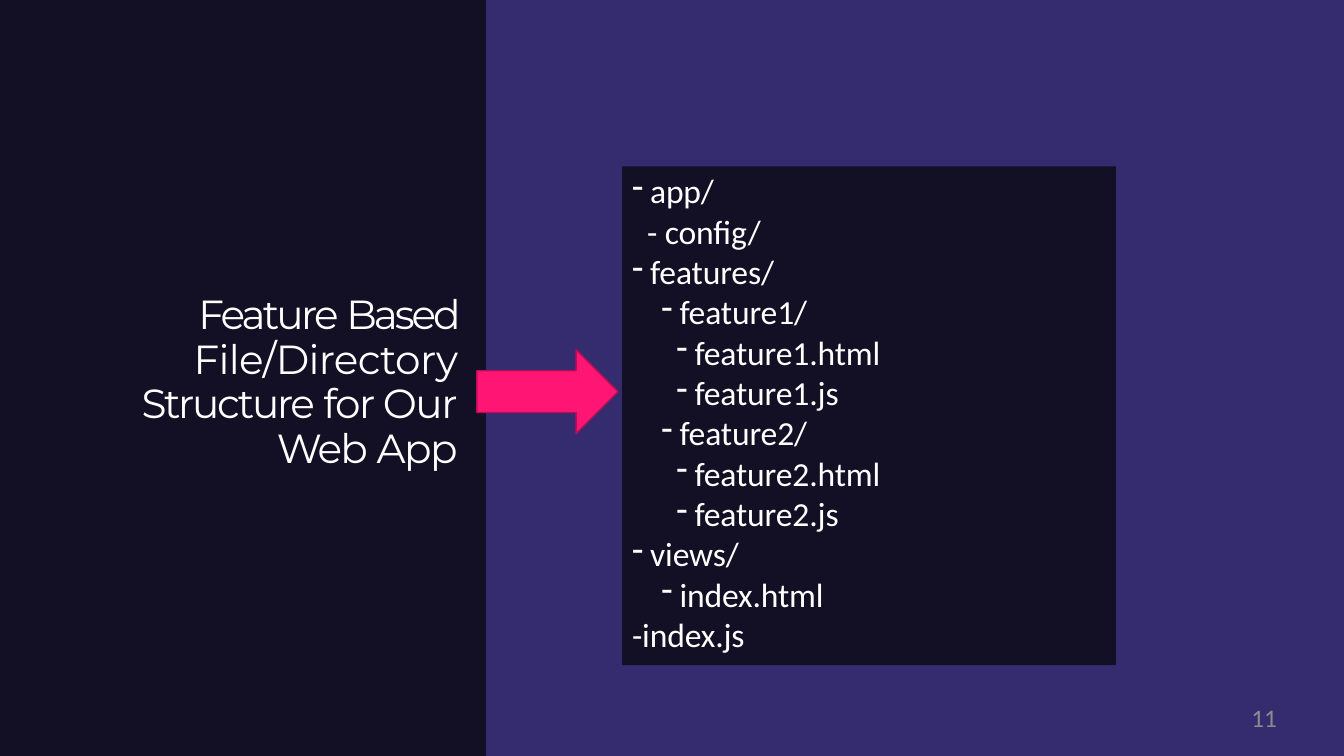
import pptx
import pptx.util
import pptx.dml.color
import pptx.enum.shapes
import pptx.enum.text
import pptx.oxml.ns
import lxml.etree

NIGHT, VIOLET, PINK, WHITE = "130F24", "352B6F", "FF1675", "FFFFFF"
RIGHT = pptx.enum.text.PP_ALIGN.RIGHT
LEFT = pptx.enum.text.PP_ALIGN.LEFT

deck = pptx.Presentation()
deck.slide_width = pptx.util.Inches(13.33)
deck.slide_height = pptx.util.Inches(7.5)
page = deck.slides.add_slide(deck.slide_layouts[6])

# Grid of 100 columns by 100 rows
column = deck.slide_width / 100
row = deck.slide_height / 100
split = 36.16


def add_box(kind, left, top, width, height, fill=None, line=None, inset=0):
    place = [round(left * column), round(top * row), round(width * column), round(height * row)]
    if kind is None:
        box = page.shapes.add_textbox(*place)
    else:
        box = page.shapes.add_shape(kind, *place)
        box.shadow.inherit = False
        box.fill.solid()
        box.fill.fore_color.rgb = pptx.dml.color.RGBColor.from_string(fill)
        if line:
            box.line.color.rgb = pptx.dml.color.RGBColor.from_string(line)
            box.line.width = pptx.util.Pt(1)
        else:
            box.line.fill.background()
    frame = box.text_frame
    frame.word_wrap = True
    frame.vertical_anchor = pptx.enum.text.MSO_ANCHOR.TOP
    frame.margin_left = frame.margin_right = frame.margin_bottom = 0
    frame.margin_top = pptx.util.Inches(inset)
    return box


def add_span(para, text, font, size, color, spacing=0):
    span = para.add_run()
    span.text = text
    span.font.name = font
    span.font.size = pptx.util.Pt(size)
    span.font.color.rgb = pptx.dml.color.RGBColor.from_string(color)
    span.font._element.set("spc", str(round(spacing * 100)))


# Background panels
shapes = pptx.enum.shapes.MSO_SHAPE
add_box(shapes.RECTANGLE, split, 0, 100 - split, 100, VIOLET)
add_box(shapes.RECTANGLE, 0, 0, split, 100, NIGHT)

# Title, each run with its letter spacing
title = [
    (0.91, [("Feature ", -2), ("Based ", -2.2), ("File/Directory ", -0.5),
            ("Structure ", -1.7), ("for Our", -1.1)]),
    (pptx.util.Pt(31.9), [("Web ", -1.4), ("App", -1.2)]),
]
frame = add_box(None, 8.25, 37.33, 25.8, 24.4, inset=0.12).text_frame
for index, (line_spacing, spans) in enumerate(title):
    para = frame.add_paragraph() if index else frame.paragraphs[0]
    para.alignment = RIGHT
    para.line_spacing = line_spacing
    for text, spacing in spans:
        add_span(para, text, "Montserrat", 29, WHITE, spacing)

# Directory tree: text indent in inches, bulleted or not, text
tree = [
    (0.28, True, "app/"),
    (0.25, False, "- config/"),
    (0.28, True, "features/"),
    (0.57, True, "feature1/"),
    (0.72, True, "feature1.html"),
    (0.72, True, "feature1.js"),
    (0.57, True, "feature2/"),
    (0.72, True, "feature2.html"),
    (0.72, True, "feature2.js"),
    (0.28, True, "views/"),
    (0.57, True, "index.html"),
    (0.1, False, "-index.js"),
]
hanging = 0.18
frame = add_box(shapes.RECTANGLE, 46.28, 22, 36.75, 66, NIGHT, inset=0.04).text_frame
for index, (indent, bulleted, text) in enumerate(tree):
    para = frame.add_paragraph() if index else frame.paragraphs[0]
    para.alignment = LEFT
    para.line_spacing = pptx.util.Pt(28.8)
    properties = para._p.get_or_add_pPr()
    properties.set("marL", str(pptx.util.Inches(indent)))
    properties.set("indent", str(pptx.util.Inches(-hanging if bulleted else 0)))
    if bulleted:
        bullet = lxml.etree.SubElement(properties, pptx.oxml.ns.qn("a:buChar"))
        bullet.set("char", "-")
    add_span(para, text, "Calibri", 24, WHITE, -0.2 if index == 0 else -0.1)

# Arrow from title to tree
add_box(shapes.RIGHT_ARROW, 35.48, 46.27, 10.5, 11.07, PINK, "BC0D54")

# Slide number
para = add_box(None, 72, 92.93, 23, 5.07).text_frame.paragraphs[0]
para.alignment = RIGHT
add_span(para, "11", "Calibri", 18, "8C8C8C")

deck.save("out.pptx")
